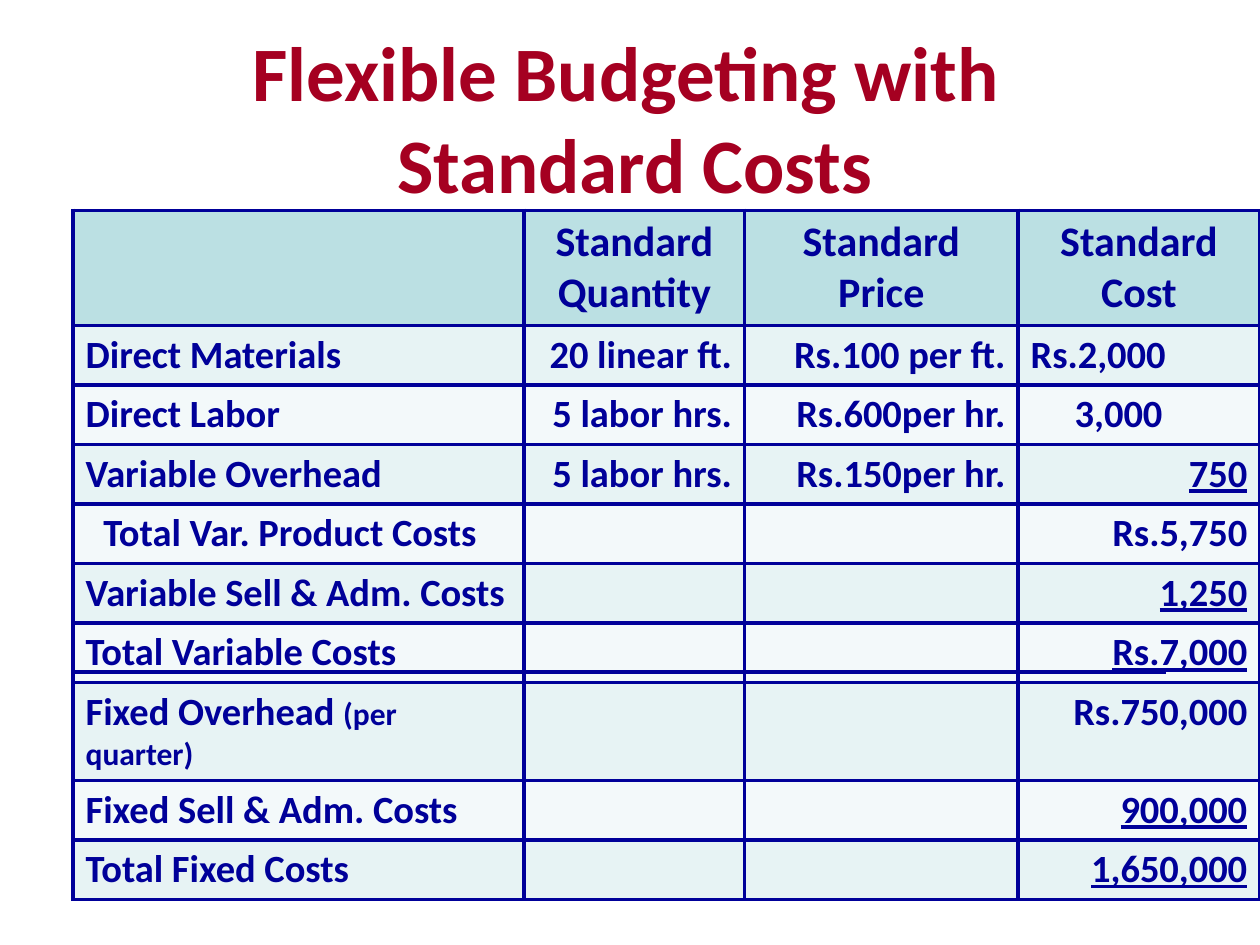
from dataclasses import dataclass

from lxml.etree import SubElement
from pptx import Presentation
from pptx.dml.color import RGBColor
from pptx.enum.shapes import MSO_CONNECTOR
from pptx.enum.text import MSO_ANCHOR, MSO_AUTO_SIZE, PP_ALIGN
from pptx.oxml.ns import qn
from pptx.util import Inches, Pt


@dataclass(frozen=True)
class Theme:
    font: str = "Calibri"
    title: str = "A50021"
    ink: str = "000099"
    header_fill: str = "BBE0E3"
    row_fills: tuple = ("E7F3F4", "F3F9FA")
    title_size: int = 44
    header_size: int = 24
    body_size: int = 22
    note_size: int = 18
    border: float = 2.25


THEME = Theme()
COL_WIDTHS = (3.58, 1.75, 2.17, 1.92)
HEADER_HEIGHT, ROW_HEIGHT, NOTE_ROW_HEIGHT = 0.9, 0.47, 0.77
HEADERS = ("", "Standard Quantity", "Standard Price", "Standard Cost")
ROWS = (
    ("Direct Materials", "20 linear ft.", "Rs.100 per ft.", "Rs.2,000"),
    ("Direct Labor", "5 labor hrs.", "Rs.600per hr.", "3,000"),
    ("Variable Overhead", "5 labor hrs.", "Rs.150per hr.", "750"),
    ("Total Var. Product Costs", "", "", "Rs.5,750"),
    ("Variable Sell & Adm. Costs", "", "", "1,250"),
    ("Total Variable Costs", "", "", "Rs.7,000"),
    ("Fixed Overhead ", "", "", "Rs.750,000"),
    ("Fixed Sell & Adm. Costs", "", "", "900,000"),
    ("Total Fixed Costs", "", "", "1,650,000"),
)
NOTES = {"Fixed Overhead ": "(per quarter)"}
INDENTS = {"3,000": 0.35, "Total Var. Product Costs": 0.14}
LEFT_COSTS = {"Rs.2,000", "3,000"}
UNDERLINED = {"750", "1,250", "Rs.7,000", "900,000", "1,650,000"}


def style_run(r, size, color):
    r.font.name = THEME.font
    r.font.size = Pt(size)
    r.font.bold = True
    r.font.color.rgb = RGBColor.from_string(color)


def add_title(s, text, left, top, width, height):
    sp = s.shapes.title
    sp.left, sp.top, sp.width, sp.height = map(Inches, (left, top, width, height))
    tf = sp.text_frame
    tf.text = text
    tf.word_wrap = True
    tf.auto_size = MSO_AUTO_SIZE.NONE
    tf.vertical_anchor = MSO_ANCHOR.MIDDLE
    p = tf.paragraphs[0]
    p.alignment = PP_ALIGN.CENTER
    for r in p.runs:
        style_run(r, THEME.title_size, THEME.title)


def style_cell(cell, fill):
    """Draw all four borders, then the fill, in the order the format requires."""
    tc_pr = cell._tc.get_or_add_tcPr()
    for side in ("a:lnL", "a:lnR", "a:lnT", "a:lnB"):
        ln = SubElement(tc_pr, qn(side), w=str(Pt(THEME.border)))
        SubElement(SubElement(ln, qn("a:solidFill")), qn("a:srgbClr"), val=THEME.ink)
    cell.fill.solid()
    cell.fill.fore_color.rgb = RGBColor.from_string(fill)


def fill_cell(cell, text, size, alignment):
    cell.text_frame.text = text
    p = cell.text_frame.paragraphs[0]
    p.alignment = alignment
    if text in INDENTS:
        p._p.get_or_add_pPr().set("marL", str(Inches(INDENTS[text])))
    for r in p.runs:
        style_run(r, size, THEME.ink)
        r.font.underline = text in UNDERLINED
    if text in NOTES:
        r = p.add_run()
        r.text = NOTES[text]
        style_run(r, THEME.note_size, THEME.ink)


def add_cost_table(s, left, top):
    heights = [HEADER_HEIGHT] + [
        NOTE_ROW_HEIGHT if row[0] in NOTES else ROW_HEIGHT for row in ROWS]
    frame = s.shapes.add_table(
        len(heights), len(COL_WIDTHS), Inches(left), Inches(top),
        Inches(sum(COL_WIDTHS)), Inches(sum(heights)))
    table = frame.table
    for col, width in zip(table.columns, COL_WIDTHS):
        col.width = Inches(width)
    for i, (row, height) in enumerate(zip((HEADERS, *ROWS), heights)):
        table.rows[i].height = Inches(height)
        fill = THEME.row_fills[(i - 1) % 2] if i else THEME.header_fill
        size = THEME.body_size if i else THEME.header_size
        for j, text in enumerate(row):
            cell = table.cell(i, j)
            style_cell(cell, fill)
            if i == 0:
                alignment = PP_ALIGN.CENTER
            elif j == 0 or text in LEFT_COSTS:
                alignment = PP_ALIGN.LEFT
            else:
                alignment = PP_ALIGN.RIGHT
            fill_cell(cell, text, size, alignment)


def add_total_rule(s, left, top, width):
    line = s.shapes.add_connector(
        MSO_CONNECTOR.STRAIGHT, Inches(left), Inches(top),
        Inches(left + width), Inches(top))
    line.line.color.rgb = RGBColor.from_string(THEME.ink)
    line.line.width = Pt(THEME.border)
    SubElement(line._element.spPr, qn("a:effectLst"))


def main():
    prs = Presentation()
    prs.slide_width, prs.slide_height = Inches(10), Inches(7.5)
    s = prs.slides.add_slide(prs.slide_layouts[5])
    add_title(s, "Flexible Budgeting with \vStandard Costs", 0.54, 0.3, 9, 1.25)
    add_cost_table(s, 0.58, 1.67)
    add_total_rule(s, 0.58, 5.33, 8.67)
    prs.save("out.pptx")


if __name__ == "__main__":
    main()
